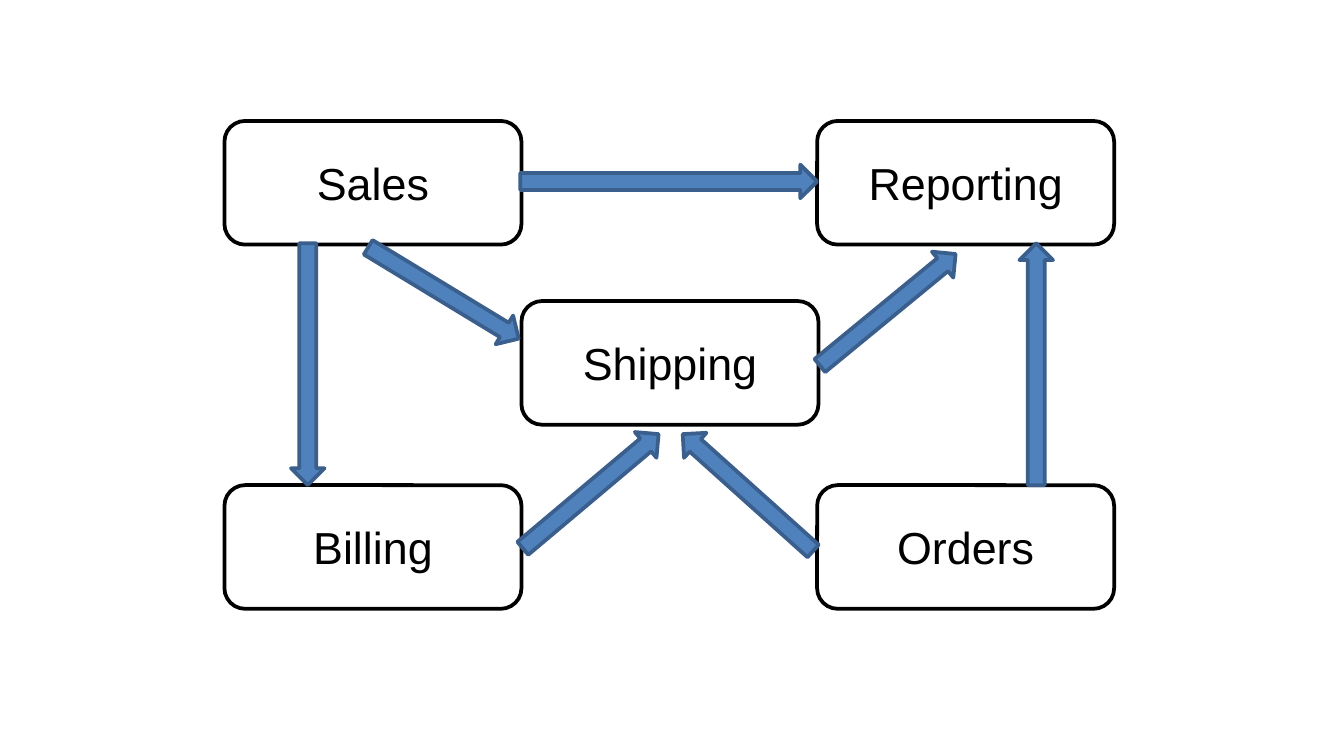
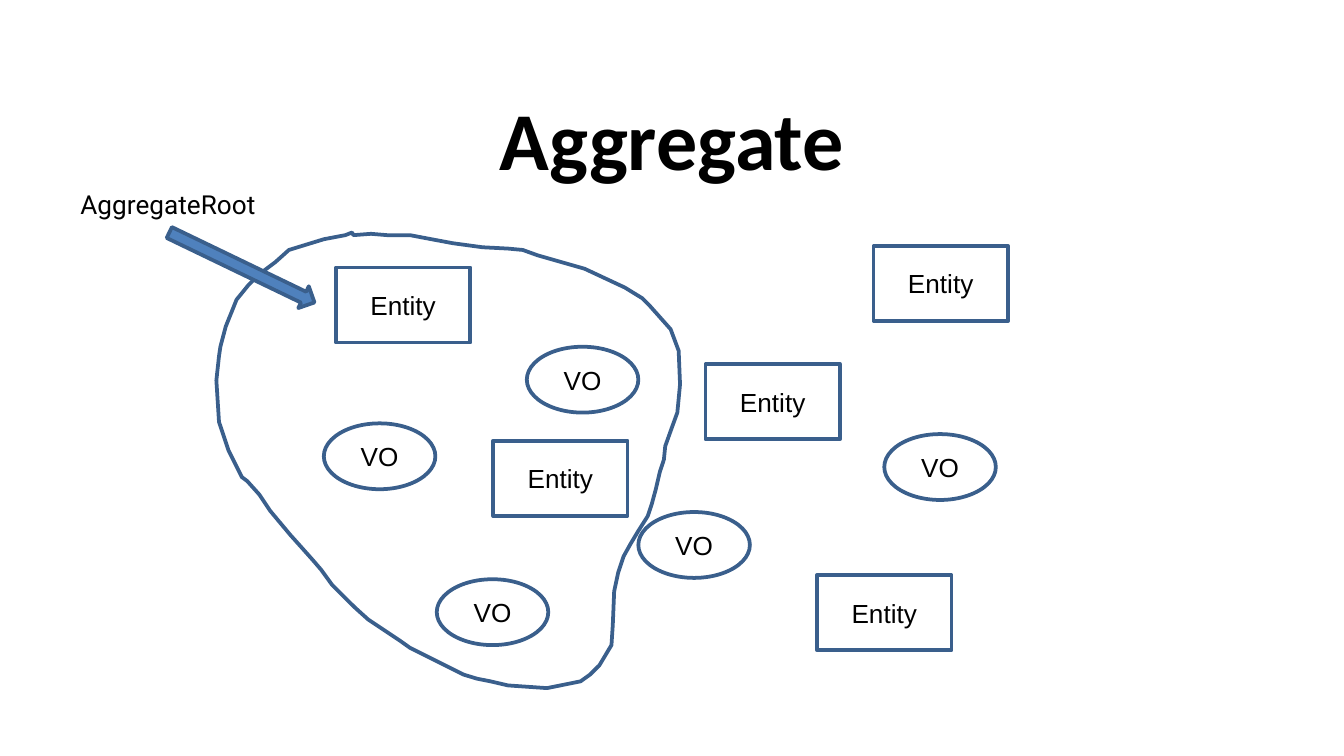
from dataclasses import dataclass
from math import atan2, degrees, hypot
from pptx import Presentation
from pptx.dml.color import RGBColor
from pptx.enum.shapes import MSO_SHAPE
from pptx.enum.text import MSO_ANCHOR, MSO_AUTO_SIZE, PP_ALIGN
from pptx.util import Inches, Pt


@dataclass(frozen=True)
class Theme:
    white: str = "FFFFFF"
    ink: str = "000000"
    arrow: str = "4F81BD"
    outline: str = "3A5F8C"
    body_font: str = "Arial"
    title_font: str = "Calibri"
    label_font: str = "Roboto"
    title_size: int = 44
    service_size: int = 24
    label_size: int = 14
    line: float = 2


THEME = Theme()
PAGE_WIDTH = 10
PAGE_HEIGHT = PAGE_WIDTH * 9 / 16

SERVICE_SIZE = (2.21, 0.92)
SERVICES = [
    ("Sales", 1.67, 0.9),
    ("Reporting", 6.08, 0.9),
    ("Orders", 6.08, 3.61),
    ("Billing", 1.67, 3.61),
    ("Shipping", 3.88, 2.24),
]
MESSAGE_WIDTH = 0.25
MESSAGES = [
    ((2.29, 1.81), (2.29, 3.61)),
    ((7.71, 3.61), (7.71, 1.81)),
    ((3.87, 1.35), (6.08, 1.35)),
    ((2.74, 1.84), (3.86, 2.52)),
    ((6.1, 2.72), (7.11, 1.89)),
    ((6.05, 4.1), (5.08, 3.23)),
    ((3.89, 4.08), (4.9, 3.23)),
]

TITLE = "Aggregate"
ROOT_LABEL = "AggregateRoot"
ROOT_ARROW_WIDTH = 0.18
ROOT_ARROW = ((1.26, 1.73), (2.34, 2.25))
MEMBERS = [
    ("VO", MSO_SHAPE.OVAL, (0.83, 0.49),
     [(3.92, 2.58), (2.41, 3.15), (4.75, 3.81), (3.25, 4.31), (6.58, 3.23)]),
    ("Entity", MSO_SHAPE.RECTANGLE, (1, 0.56),
     [(6.5, 1.83), (5.25, 2.71), (2.5, 1.99), (3.67, 3.28), (6.08, 4.28)]),
]
BOUNDARY = [
    (2.62, 1.73), (2.57, 1.75), (2.41, 1.78), (2.15, 1.86), (2.05, 1.95),
    (1.93, 2.04), (1.85, 2.12), (1.76, 2.23), (1.68, 2.43), (1.64, 2.58),
    (1.63, 2.65), (1.61, 2.83), (1.63, 3.14), (1.7, 3.35), (1.8, 3.55),
    (1.84, 3.58), (1.93, 3.68), (2.01, 3.8), (2.16, 3.98), (2.25, 4.08),
    (2.33, 4.17), (2.39, 4.24), (2.47, 4.35), (2.57, 4.45), (2.64, 4.52),
    (2.74, 4.61), (2.98, 4.77), (3.05, 4.82), (3.23, 4.91), (3.45, 5.02),
    (3.55, 5.05), (3.65, 5.07), (3.78, 5.1), (4.07, 5.12), (4.32, 5.07),
    (4.39, 5.02), (4.46, 4.95), (4.55, 4.8), (4.56, 4.65), (4.57, 4.4),
    (4.6, 4.26), (4.64, 4.14), (4.69, 4.05), (4.75, 3.95), (4.82, 3.84),
    (4.85, 3.75), (4.88, 3.64), (4.91, 3.51), (4.94, 3.42), (4.95, 3.32),
    (5, 3.18), (5.04, 3.07), (5.06, 2.86), (5.05, 2.61), (4.99, 2.45),
    (4.83, 2.27), (4.78, 2.22), (4.65, 2.14), (4.35, 2), (4, 1.9),
    (3.89, 1.86), (3.78, 1.85), (3.59, 1.84), (3.37, 1.81), (3.21, 1.78),
    (3.05, 1.75), (2.88, 1.75), (2.76, 1.74), (2.63, 1.75),
]


def colour(value):
    return RGBColor.from_string(value)


def write(frame, text, font, size, bold=False, align=PP_ALIGN.CENTER):
    para = frame.paragraphs[0]
    para.alignment = align
    span = para.add_run()
    span.text = text
    span.font.name = font
    span.font.size = Pt(size)
    span.font.bold = bold
    span.font.color.rgb = colour(THEME.ink)


def style(shape, fill, line):
    shape.shadow.inherit = False
    if fill:
        shape.fill.solid()
        shape.fill.fore_color.rgb = colour(fill)
    else:
        shape.fill.background()
    shape.line.color.rgb = colour(line)
    shape.line.width = Pt(THEME.line)


def add_node(page, kind, place, extent, text, size, line):
    node = page.shapes.add_shape(kind, *map(Inches, place + extent))
    style(node, THEME.white, line)
    node.text_frame.vertical_anchor = MSO_ANCHOR.MIDDLE
    write(node.text_frame, text, THEME.body_font, size)


def add_arrow(page, start, end, width):
    across, down = end[0] - start[0], end[1] - start[1]
    length = hypot(across, down)
    left = (start[0] + end[0] - width) / 2
    top = (start[1] + end[1] - length) / 2
    arrow = page.shapes.add_shape(
        MSO_SHAPE.DOWN_ARROW, *map(Inches, (left, top, width, length)))
    arrow.rotation = degrees(atan2(-across, down)) % 360
    style(arrow, THEME.arrow, THEME.outline)


def add_boundary(page, points):
    corners = [(Inches(x), Inches(y)) for x, y in points]
    builder = page.shapes.build_freeform(*corners[0])
    builder.add_line_segments(corners[1:], close=True)
    style(builder.convert_to_shape(), None, THEME.outline)


def build_services(deck):
    page = deck.slides.add_slide(deck.slide_layouts[6])
    for name, left, top in SERVICES:
        add_node(page, MSO_SHAPE.ROUNDED_RECTANGLE, (left, top), SERVICE_SIZE,
                 name, THEME.service_size, THEME.ink)
    for start, end in MESSAGES:
        add_arrow(page, start, end, MESSAGE_WIDTH)


def build_aggregate(deck):
    page = deck.slides.add_slide(deck.slide_layouts[5])
    title = page.shapes.title
    title.left, title.top, title.width, title.height = map(
        Inches, (0.75, 0.56, 8.5, 1.27))
    frame = title.text_frame
    frame.auto_size = MSO_AUTO_SIZE.NONE
    frame.vertical_anchor = MSO_ANCHOR.TOP
    frame.margin_left = frame.margin_right = Inches(0.1)
    frame.margin_top = frame.margin_bottom = Inches(0.1)
    write(frame, TITLE, THEME.title_font, THEME.title_size, bold=True)

    for text, kind, extent, places in MEMBERS:
        for place in places:
            add_node(page, kind, place, extent, text,
                     THEME.label_size, THEME.outline)
    add_boundary(page, BOUNDARY)

    label = page.shapes.add_textbox(*map(Inches, (0.5, 1.35, 1.52, 0.34)))
    label.text_frame.word_wrap = False
    label.text_frame.auto_size = MSO_AUTO_SIZE.SHAPE_TO_FIT_TEXT
    write(label.text_frame, ROOT_LABEL, THEME.label_font, THEME.label_size,
          align=PP_ALIGN.LEFT)
    add_arrow(page, *ROOT_ARROW, ROOT_ARROW_WIDTH)


deck = Presentation()
deck.slide_width, deck.slide_height = Inches(PAGE_WIDTH), Inches(PAGE_HEIGHT)
build_services(deck)
build_aggregate(deck)
deck.save("out.pptx")
